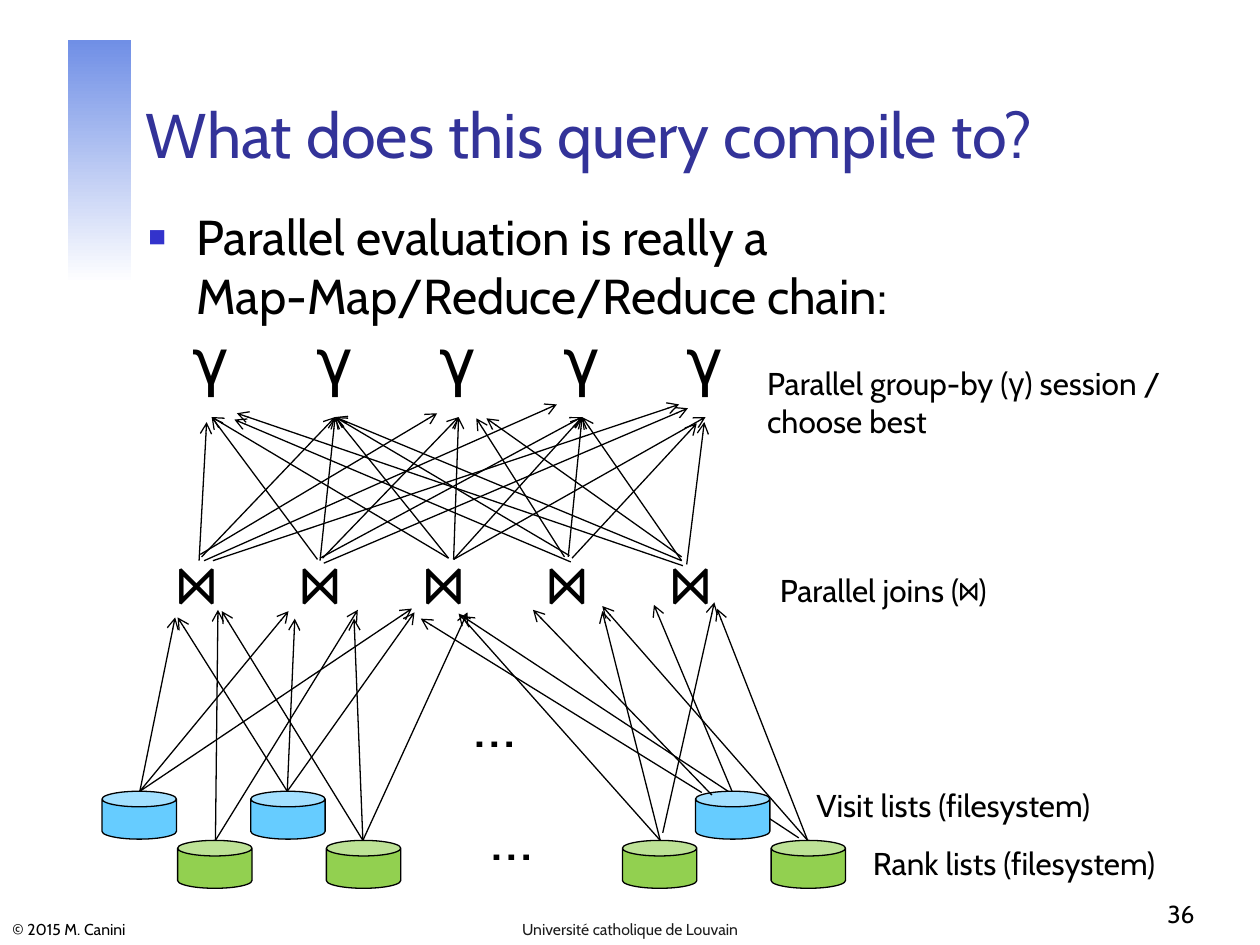
import pptx
import pptx.dml.color
import pptx.enum.shapes
import pptx.enum.text
import pptx.oxml.ns
import pptx.util
from lxml import etree

PX = 9144  # EMU per px, 100 px to the inch
COLORS = {
    "black": "000000", "white": "FFFFFF", "title": "333399", "bullet": "3333CC",
    "band": "708FE6", "visit": "66CCFF", "rank": "92D050", "footer": "1C1C1C",
}
FONT = "Cabin"
SYMBOL_FONT = "DejaVu Sans Mono"
ALIGN = pptx.enum.text.PP_ALIGN
ANCHOR = pptx.enum.text.MSO_ANCHOR
SHAPE = pptx.enum.shapes.MSO_SHAPE

# Each entry: arrow start, then the arrow heads reached from it.
LIST_ARROWS = [
    ((111, 628), [(139, 490), (229, 485), (327, 483)]),
    ((228, 628), [(234, 491), (141, 490), (329, 486)]),
    ((581, 628), [(519, 480)]),
    ((565, 631), [(423, 484)]),
    ((557, 629), [(334, 491)]),
    ((171, 667), [(173, 484), (284, 484)]),
    ((288, 667), [(176, 485), (281, 491), (371, 486)]),
    ((524, 667), [(364, 487), (478, 485)]),
    ((526, 661), [(567, 478)]),
    ((641, 667), [(569, 483), (478, 481)]),
]
JOIN_ARROWS = [
    ((158, 445), [(164, 335)]),
    ((160, 442), [(266, 331)]),
    ((159, 440), [(347, 328)]),
    ((162, 445), [(442, 321)]),
    ((169, 445), [(539, 321)]),
    ((252, 444), [(168, 331)]),
    ((254, 445), [(266, 331)]),
    ((256, 443), [(364, 331)]),
    ((254, 443), [(462, 331)]),
    ((257, 447), [(546, 324)]),
    ((356, 443), [(168, 331), (266, 331)]),
    ((360, 444), [(364, 331), (462, 331), (560, 331)]),
    ((453, 446), [(186, 333)]),
    ((452, 441), [(266, 331)]),
    ((448, 442), [(378, 332)]),
    ((451, 442), [(462, 331)]),
    ((454, 443), [(553, 336)]),
    ((545, 448), [(559, 335)]),
    ((541, 445), [(462, 331), (266, 331)]),
    ((541, 442), [(386, 332)]),
    ((542, 449), [(188, 328)]),
]


def rgb(name):
    return pptx.dml.color.RGBColor.from_string(COLORS[name])


def add_element(parent, tag, **attributes):
    return etree.SubElement(parent, pptx.oxml.ns.qn(tag), **attributes)


def add_bullet(paragraph, indent):
    """Give the paragraph a square bullet and a hanging indent."""
    properties = paragraph._p.get_or_add_pPr()
    properties.set("marL", str(indent * PX))
    properties.set("indent", str(-indent * PX))
    color = add_element(properties, "a:buClr")
    add_element(color, "a:srgbClr", val=COLORS["bullet"])
    add_element(properties, "a:buSzPct", val="60000")
    add_element(properties, "a:buFont", typeface="Arial")
    add_element(properties, "a:buChar", char="■")


def write_text(frame, runs, size=18, font=FONT, color="black",
               align=ALIGN.LEFT, anchor=ANCHOR.TOP, bullet_indent=0):
    """Fill the frame with one paragraph; runs is a string or (text, font) pairs."""
    frame.word_wrap = True
    frame.vertical_anchor = anchor
    paragraph = frame.paragraphs[0]
    paragraph.alignment = align
    if bullet_indent:
        add_bullet(paragraph, bullet_indent)
    for text, typeface in [(runs, font)] if isinstance(runs, str) else runs:
        for index, line in enumerate(text.split("\n")):
            if index:
                paragraph.add_line_break()
            run = paragraph.add_run()
            run.text = line
            run.font.size = pptx.util.Pt(size)
            run.font.color.rgb = rgb(color)
            run.font.name = typeface
            add_element(run._r.get_or_add_rPr(), "a:ea", typeface=typeface)


class SlideBuilder:
    line_width = pptx.util.Pt(0.75)

    def __init__(self, slide):
        self.shapes = slide.shapes

    def text(self, left, top, width, height, runs, **style):
        box = self.shapes.add_textbox(left * PX, top * PX, width * PX, height * PX)
        write_text(box.text_frame, runs, **style)

    def gradient_band(self, left, top, width, height):
        band = self.shapes.add_shape(
            SHAPE.RECTANGLE, left * PX, top * PX, width * PX, height * PX)
        band.shadow.inherit = False
        band.line.fill.background()
        band.fill.gradient()
        band.fill.gradient_angle = 270
        for stop, name in zip(band.fill.gradient_stops, ("band", "white")):
            stop.color.rgb = rgb(name)

    def cylinder(self, left, top, color):
        can = self.shapes.add_shape(SHAPE.CAN, left * PX, top * PX, 59 * PX, 38 * PX)
        can.adjustments[0] = 0.325
        can.shadow.inherit = False
        can.fill.solid()
        can.fill.fore_color.rgb = rgb(color)
        can.line.color.rgb = rgb("black")
        can.line.width = self.line_width

    def arrow(self, start, end):
        connector = self.shapes.add_connector(
            pptx.enum.shapes.MSO_CONNECTOR.STRAIGHT,
            *(value * PX for value in start + end))
        connector.line.color.rgb = rgb("black")
        connector.line.width = self.line_width
        add_element(connector.line._get_or_add_ln(), "a:tailEnd", type="arrow")
        add_element(connector._element.spPr, "a:effectLst")

    def arrows(self, groups):
        for start, ends in groups:
            for end in ends:
                self.arrow(start, end)

    def symbol_row(self, left, top, symbol):
        for column in range(5):
            self.text(left + 98 * column, top, 78, 71, symbol,
                      size=36, font=SYMBOL_FONT, align=ALIGN.CENTER)


def main():
    presentation = pptx.Presentation()
    presentation.slide_width = 1000 * PX
    presentation.slide_height = 750 * PX
    builder = SlideBuilder(presentation.slides.add_slide(presentation.slide_layouts[6]))

    builder.gradient_band(54, 32, 50, 193)
    builder.text(0, 722, 302, 28, "© 2015 M. Canini", size=9, anchor=ANCHOR.BOTTOM)
    builder.arrow((634, 665), (367, 489))
    builder.text(106, 33, 852, 108, "What does this query compile to?",
                 size=36, color="title", anchor=ANCHOR.BOTTOM)
    builder.text(108, 159, 872, 518,
                 "Parallel evaluation is really a \nMap-Map/Reduce/Reduce chain:",
                 size=28, bullet_indent=38)

    for left, top, color, columns in [(81, 628, "visit", (0, 1, 4)),
                                      (141, 667, "rank", (0, 1, 3, 4))]:
        for column in columns:
            builder.cylinder(left + round(117.75 * column), top, color)
    builder.text(638, 619, 331, 40, "Visit lists (filesystem)")
    builder.text(683, 665, 317, 40, "Rank lists (filesystem)")

    builder.symbol_row(117, 427, "⋈")
    builder.arrows(LIST_ARROWS)
    for left, top in [(357, 628), (343, 538)]:
        builder.text(left, top, 99, 71, "…", size=36, align=ALIGN.CENTER)
    builder.text(609, 448, 331, 40,
                 [("Parallel joins (", FONT), ("⋈", SYMBOL_FONT), (")", FONT)])

    builder.symbol_row(129, 250, "γ")
    builder.text(599, 284, 349, 71, [("Parallel group-by (", FONT), ("γ", "Arial"),
                                     (") session / choose best", FONT)])
    builder.arrows(JOIN_ARROWS)

    builder.text(342, 722, 316, 28, "Université catholique de Louvain", size=9,
                 color="footer", align=ALIGN.CENTER, anchor=ANCHOR.BOTTOM)
    builder.text(750, 692, 208, 50, "36", size=14,
                 align=ALIGN.RIGHT, anchor=ANCHOR.BOTTOM)
    presentation.save("out.pptx")


if __name__ == "__main__":
    main()
